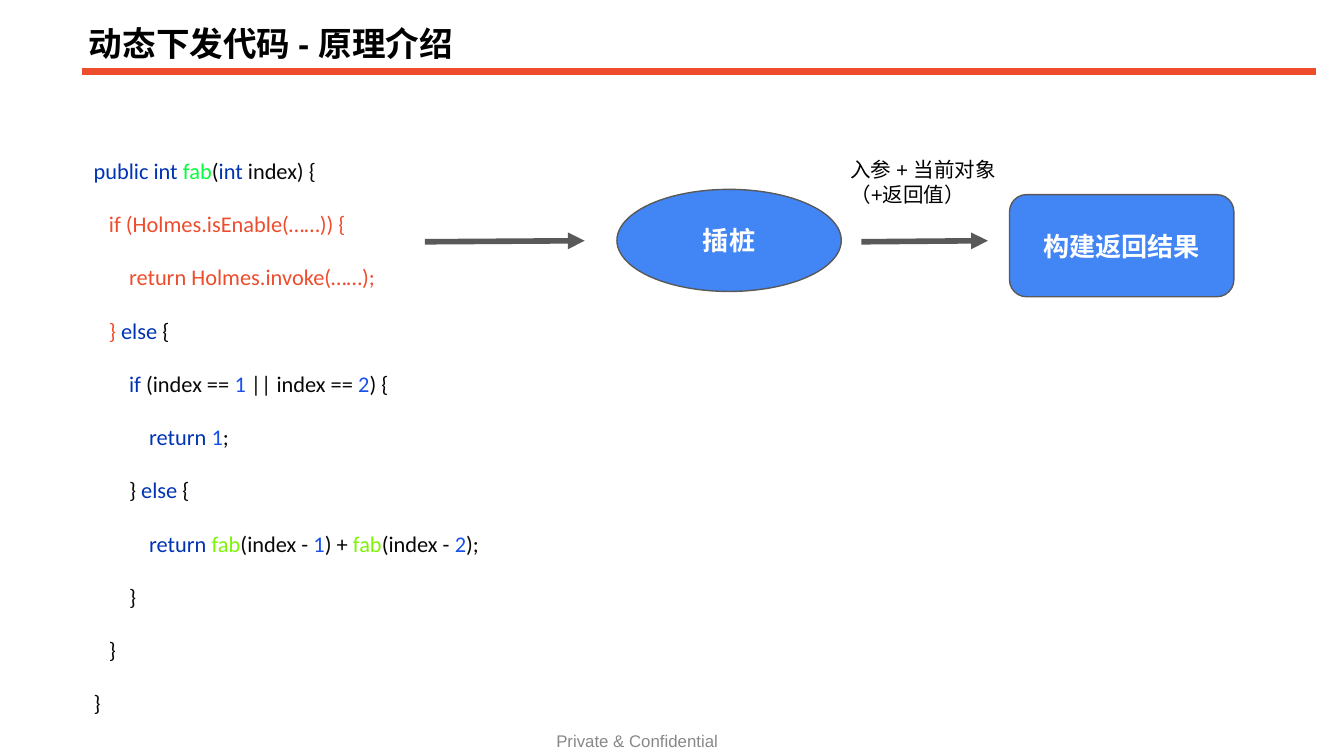
from dataclasses import dataclass

from lxml import etree
from pptx import Presentation
from pptx.dml.color import RGBColor
from pptx.enum.shapes import MSO_CONNECTOR, MSO_SHAPE
from pptx.enum.text import MSO_ANCHOR, MSO_AUTO_SIZE, PP_ALIGN
from pptx.oxml.ns import qn
from pptx.util import Cm, Pt

# Content
TITLE = "动态下发代码 - 原理介绍"
FOOTER = "Private & Confidential"
ARROW_LABEL = "入参 + 当前对象（+返回值）"

# Each code line: nesting level, then (text, colour role) spans
CODE = [
    (0, [("public int ", "keyword"), ("fab", "declared"), ("(", "plain"),
         ("int ", "keyword"), ("index) {", "plain")]),
    (1, [("if (Holmes.isEnable(……)) {", "accent")]),
    (2, [("return Holmes.invoke(……);", "accent")]),
    (1, [("} ", "accent"), ("else ", "keyword"), ("{", "plain")]),
    (2, [("if ", "keyword"), ("(index == ", "plain"), ("1 ", "number"),
         ("|| index == ", "plain"), ("2", "number"), (") {", "plain")]),
    (3, [("return ", "keyword"), ("1", "number"), (";", "plain")]),
    (2, [("} ", "plain"), ("else ", "keyword"), ("{", "plain")]),
    (3, [("return ", "keyword"), ("fab", "called"), ("(index - ", "plain"),
         ("1", "number"), (") + ", "plain"), ("fab", "called"),
         ("(index - ", "plain"), ("2", "number"), (");", "plain")]),
    (2, [("}", "plain")]),
    (1, [("}", "plain")]),
    (0, [("}", "plain")]),
]

# Flow parts in cm: text, shape, left, top
STEPS = [
    ("插桩", MSO_SHAPE.OVAL, 11.66, 3.58),
    ("构建返回结果", MSO_SHAPE.ROUNDED_RECTANGLE, 19.08, 3.68),
]
STEP_SIZE = (4.24, 1.93)
ARROWS = [(8.03, 11.05), (16.28, 18.67)]  # start and end x
ARROW_Y = (4.57, 4.55)


@dataclass(frozen=True)
class Theme:
    font: str = "Arial"
    code_font: str = "Calibri"
    title_size: int = 18
    step_size: int = 14
    code_size: int = 12
    label_size: int = 11
    footer_size: int = 9
    black: str = "000000"
    white: str = "FFFFFF"
    grey: str = "888888"
    outline: str = "595959"
    fill: str = "4285F4"
    accent: str = "EE4D2D"
    keyword: str = "0033B3"
    number: str = "1750EB"
    declared: str = "00FF3D"
    called: str = "7EF506"
    plain: str = "080808"


THEME = Theme()


def rgb(value):
    return RGBColor.from_string(value)


def set_frame(frame, inset, anchor=MSO_ANCHOR.TOP):
    frame.word_wrap = True
    frame.auto_size = MSO_AUTO_SIZE.NONE
    frame.vertical_anchor = anchor
    frame.margin_left = frame.margin_right = Cm(inset)
    frame.margin_top = frame.margin_bottom = Cm(inset)


def set_text(frame, text, size, color, align=PP_ALIGN.LEFT, bold=False):
    para = frame.paragraphs[0]
    para.text = text
    para.alignment = align
    font = para.font
    font.name, font.size, font.bold = THEME.font, Pt(size), bold
    font.color.rgb = rgb(color)
    return para


def add_box(page, left, top, width, height, inset=0.25, anchor=MSO_ANCHOR.TOP):
    box = page.shapes.add_textbox(Cm(left), Cm(top), Cm(width), Cm(height))
    set_frame(box.text_frame, inset, anchor)
    return box.text_frame


def add_line(page, start, end, color, weight, arrow=False):
    points = [Cm(value) for value in (*start, *end)]
    line = page.shapes.add_connector(MSO_CONNECTOR.STRAIGHT, *points)
    line.line.color.rgb = rgb(color)
    line.line.width = Pt(weight)
    if arrow:
        etree.SubElement(line.line._get_or_add_ln(), qn("a:tailEnd"), type="triangle")
    etree.SubElement(line._element.spPr, qn("a:effectLst"))


def add_code(page):
    frame = add_box(page, 1.52, 2.64, 7.82, 11.2)
    frame.margin_right = 0  # room for the longest line
    for index, (level, spans) in enumerate(CODE):
        para = frame.add_paragraph() if index else frame.paragraphs[0]
        para.line_spacing = 1.15
        para.space_before = Pt(12)
        para.font.name, para.font.size = THEME.code_font, Pt(THEME.code_size)
        if level:
            indent = Cm(0.29 + 0.38 * (level - 1))
            para._p.get_or_add_pPr().set("marL", str(indent))
        for text, role in spans:
            span = para.add_run()
            span.text = text
            span.font.color.rgb = rgb(getattr(THEME, role))


def add_step(page, text, kind, left, top):
    width, height = STEP_SIZE
    step = page.shapes.add_shape(kind, Cm(left), Cm(top), Cm(width), Cm(height))
    step.shadow.inherit = False
    step.fill.solid()
    step.fill.fore_color.rgb = rgb(THEME.fill)
    step.line.color.rgb = rgb(THEME.outline)
    step.line.width = Pt(0.75)
    set_frame(step.text_frame, 0.25, MSO_ANCHOR.MIDDLE)
    set_text(step.text_frame, text, THEME.step_size, THEME.white, PP_ALIGN.CENTER, True)


def main():
    deck = Presentation()
    deck.slide_width, deck.slide_height = Cm(25.4), Cm(14.29)
    page = deck.slides.add_slide(deck.slide_layouts[5])

    # Title and rule
    add_line(page, (1.55, 1.35), (24.87, 1.35), THEME.accent, 4)
    title = page.shapes.title
    title.left, title.top, title.width, title.height = Cm(1.52), Cm(0.15), Cm(22.38), Cm(1.22)
    set_frame(title.text_frame, 0.16, MSO_ANCHOR.BOTTOM)
    heading = set_text(title.text_frame, TITLE, THEME.title_size, THEME.black, bold=True)
    heading.line_spacing = 0.9

    # Footer
    footer = add_box(page, 7.85, 13.72, 8.38, 0.58, 0.1, MSO_ANCHOR.MIDDLE)
    set_text(footer, FOOTER, THEME.footer_size, THEME.grey, PP_ALIGN.CENTER)

    # Code listing
    add_code(page)

    # Flow
    for step in STEPS:
        add_step(page, *step)
    for start, end in ARROWS:
        add_line(page, (start, ARROW_Y[0]), (end, ARROW_Y[1]), THEME.outline, 3, arrow=True)
    label = add_box(page, 15.82, 2.72, 3.33, 1.45)
    set_text(label, ARROW_LABEL, THEME.label_size, THEME.black)

    deck.save("out.pptx")


if __name__ == "__main__":
    main()
